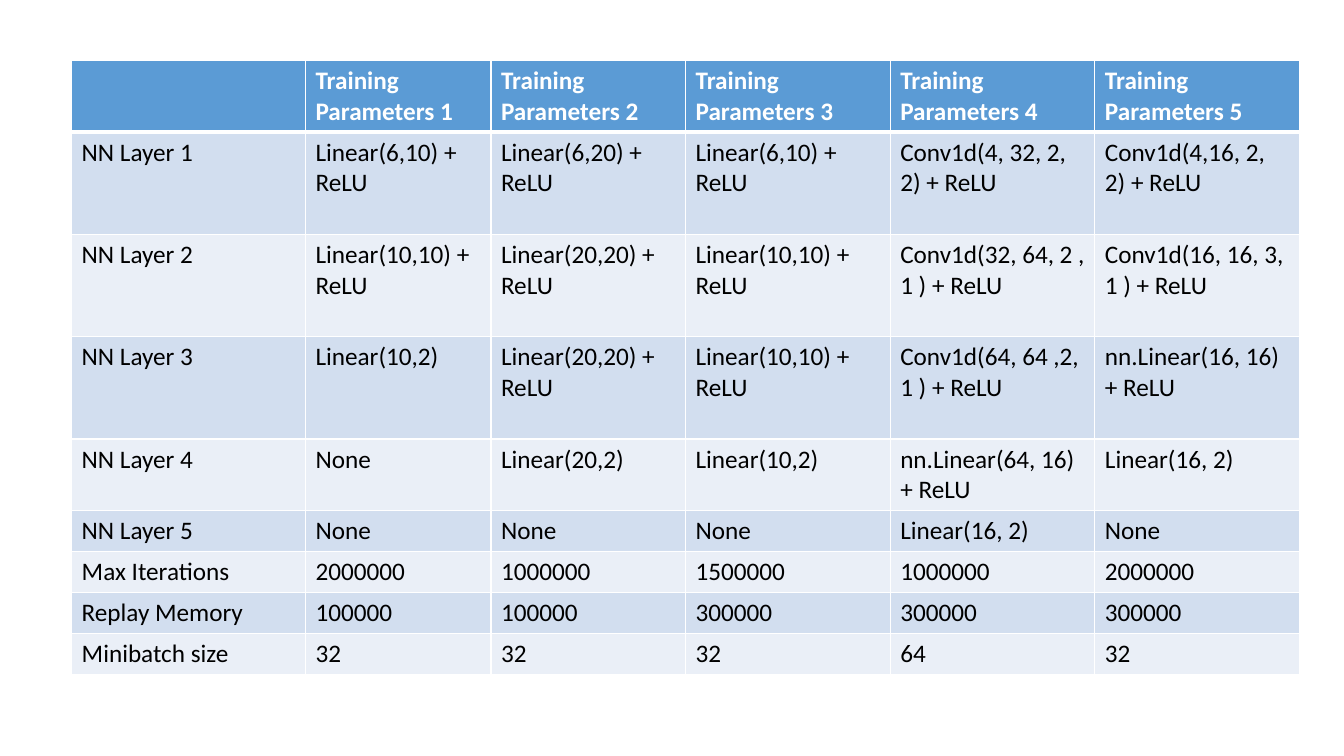
from dataclasses import dataclass

from lxml import etree
from pptx import Presentation
from pptx.dml.color import RGBColor
from pptx.oxml.ns import qn
from pptx.util import Inches, Pt

BLANK = 6
SLIDE_W, SLIDE_H = Inches(13.33), Inches(7.5)
LEFT, TOP = 5.33, 8.0
COLUMN_SHARES = [17.4, 13.8, 14.48, 15.23, 15.23, 15.23]
ROW_LINES = [2, 3, 3, 3, 2, 1, 1, 1, 1]
LINE_H, CELL_PAD = Inches(0.305), Inches(0.1)

ROWS = [
    [""] + [f"Training Parameters {n}" for n in range(1, 6)],
    ["NN Layer 1", "Linear(6,10) + ReLU", "Linear(6,20) + ReLU", "Linear(6,10) + ReLU",
     "Conv1d(4, 32, 2, 2) + ReLU", "Conv1d(4,16, 2, 2) + ReLU"],
    ["NN Layer 2", "Linear(10,10) + ReLU", "Linear(20,20) + ReLU", "Linear(10,10) + ReLU",
     "Conv1d(32, 64, 2 , 1 ) + ReLU", "Conv1d(16, 16, 3, 1 ) + ReLU"],
    ["NN Layer 3", "Linear(10,2)", "Linear(20,20) + ReLU", "Linear(10,10) + ReLU",
     "Conv1d(64, 64 ,2, 1 ) + ReLU", "nn.Linear(16, 16) + ReLU"],
    ["NN Layer 4", "None", "Linear(20,2)", "Linear(10,2)",
     "nn.Linear(64, 16) + ReLU", "Linear(16, 2)"],
    ["NN Layer 5", "None", "None", "None", "Linear(16, 2)", "None"],
    ["Max Iterations", "2000000", "1000000", "1500000", "1000000", "2000000"],
    ["Replay Memory", "100000", "100000", "300000", "300000", "300000"],
    ["Minibatch size", "32", "32", "32", "64", "32"],
]


@dataclass(frozen=True)
class Theme:
    """Colours, font and sizes of the slide."""
    font: str = "Calibri"
    size: int = 18
    header: str = "5B9BD5"
    bands: tuple = ("EAEFF7", "D2DEEF")
    header_text: str = "FFFFFF"
    body_text: str = "000000"
    border: str = "FFFFFF"
    thin: int = 1
    thick: int = 3


THEME = Theme()


def set_borders(cell, top, bottom):
    """Draw the four cell borders, with their own widths at top and bottom."""
    tc_pr = cell._tc.get_or_add_tcPr()
    widths = {"L": THEME.thin, "R": THEME.thin, "T": top, "B": bottom}
    for side, width in widths.items():
        ln = etree.SubElement(tc_pr, qn(f"a:ln{side}"), w=str(Pt(width)))
        fill = etree.SubElement(ln, qn("a:solidFill"))
        etree.SubElement(fill, qn("a:srgbClr"), val=THEME.border)


def format_cell(cell, text, row):
    """Write one cell and style it as header or banded body."""
    is_header = row == 0
    set_borders(cell,
                THEME.thick if row == 1 else THEME.thin,
                THEME.thick if is_header else THEME.thin)
    cell.fill.solid()
    color = THEME.header if is_header else THEME.bands[row % 2]
    cell.fill.fore_color.rgb = RGBColor.from_string(color)
    cell.text = text
    font = cell.text_frame.paragraphs[0].font
    font.name, font.size, font.bold = THEME.font, Pt(THEME.size), is_header
    text_color = THEME.header_text if is_header else THEME.body_text
    font.color.rgb = RGBColor.from_string(text_color)


def add_parameter_table(s):
    """Add the table of training parameters."""
    widths = [int(SLIDE_W * share / 100) for share in COLUMN_SHARES]
    heights = [lines * LINE_H + CELL_PAD for lines in ROW_LINES]
    table = s.shapes.add_table(
        len(heights), len(widths),
        int(SLIDE_W * LEFT / 100), int(SLIDE_H * TOP / 100),
        sum(widths), sum(heights)).table
    for column, width in zip(table.columns, widths):
        column.width = width
    for i, (row, height) in enumerate(zip(table.rows, heights)):
        row.height = height
        for cell, text in zip(row.cells, ROWS[i]):
            format_cell(cell, text, i)


def main():
    """Build the slide and save it."""
    prs = Presentation()
    prs.slide_width, prs.slide_height = SLIDE_W, SLIDE_H
    s = prs.slides.add_slide(prs.slide_layouts[BLANK])
    add_parameter_table(s)
    prs.save("out.pptx")


if __name__ == "__main__":
    main()
